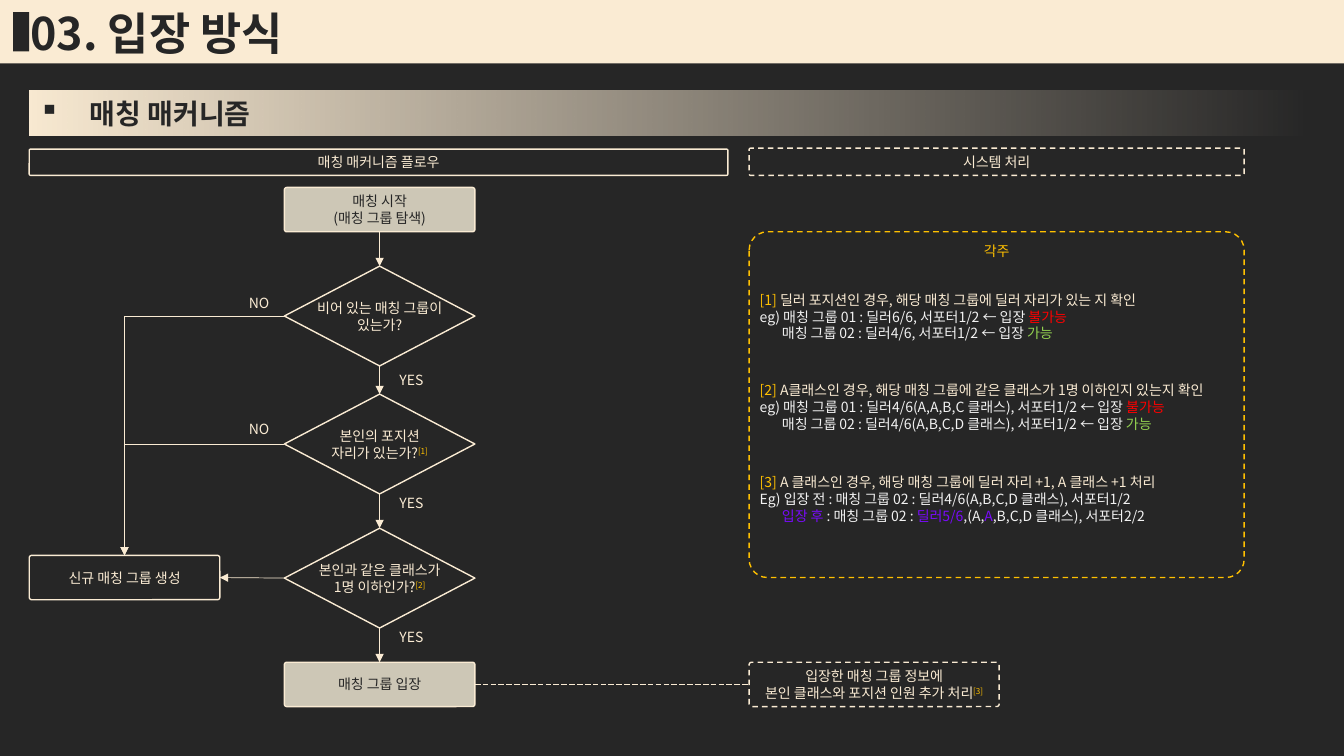
from dataclasses import dataclass

from lxml.etree import SubElement
from pptx import Presentation
from pptx.dml.color import RGBColor
from pptx.enum.dml import MSO_LINE
from pptx.enum.shapes import MSO_CONNECTOR, MSO_SHAPE
from pptx.enum.text import MSO_ANCHOR, PP_ALIGN
from pptx.oxml.ns import qn
from pptx.util import Inches, Pt


@dataclass(frozen=True)
class Theme:
    font: str = "Noto Sans CJK KR"
    dark: str = "262626"
    cream: str = "FAEBD3"
    stone: str = "CDC7B6"
    white: str = "F2F2F2"
    gold: str = "FFC000"
    red: str = "FF0000"
    green: str = "92D050"
    purple: str = "790AFB"
    title: int = 32
    heading: int = 20
    body: int = 10
    leading: int = 12


theme = Theme()


def add_box(place, lines=(), kind=MSO_SHAPE.ROUNDED_RECTANGLE, fill=None, outline=None,
            dash=None, align=PP_ALIGN.CENTER, size=theme.body, bold=False, shape=None):
    left, top, width, height = map(Inches, place)
    if shape is None:
        shape = page.shapes.add_shape(kind, left, top, width, height)
        shape.shadow.inherit = False
    else:
        shape.left, shape.top, shape.width, shape.height = left, top, width, height
    if kind == MSO_SHAPE.ROUNDED_RECTANGLE and not shape.is_placeholder:
        shape.adjustments[0] = 0.053
    if fill:
        shape.fill.solid()
        shape.fill.fore_color.rgb = RGBColor.from_string(fill)
    else:
        shape.fill.background()
    if outline:
        shape.line.color.rgb = RGBColor.from_string(outline)
        shape.line.width = Pt(1)
        shape.line.dash_style = dash
    else:
        shape.line.fill.background()
    frame = shape.text_frame
    frame.word_wrap = True
    frame.vertical_anchor = MSO_ANCHOR.MIDDLE
    for number, spans in enumerate(lines):
        para = frame.add_paragraph() if number else frame.paragraphs[0]
        para.alignment = align
        if size == theme.body:
            para.line_spacing = Pt(theme.leading)
        for text, color in spans:
            span = para.add_run()
            span.text = text
            span.font.name = theme.font
            span.font.size = Pt(size)
            span.font.bold = bold
            span.font.color.rgb = RGBColor.from_string(color)
            properties = span.font._element
            SubElement(properties, qn("a:ea")).set("typeface", theme.font)
            if align == PP_ALIGN.CENTER and text.startswith("["):
                properties.set("baseline", "30000")
    return shape


def join(start, start_site, end, end_site, bent=False, dashed=False):
    kind = MSO_CONNECTOR.ELBOW if bent else MSO_CONNECTOR.STRAIGHT
    link = page.shapes.add_connector(kind, 0, 0, 0, 0)
    link.begin_connect(start, start_site)
    link.end_connect(end, end_site)
    link.line.color.rgb = RGBColor.from_string(theme.cream)
    link.line.width = Pt(0.5)
    properties = link.element.spPr
    if bent:
        properties.find(qn("a:prstGeom")).set("prst", "bentConnector2")
    if dashed:
        link.line.dash_style = MSO_LINE.LONG_DASH
    else:
        SubElement(properties.find(qn("a:ln")), qn("a:tailEnd")).set("type", "triangle")
    SubElement(properties, qn("a:effectLst"))


deck = Presentation()
deck.slide_width, deck.slide_height = Inches(13.33), Inches(7.5)
page = deck.slides.add_slide(deck.slide_layouts[5])
page.background.fill.solid()
page.background.fill.fore_color.rgb = RGBColor.from_string(theme.dark)

heading_bar = add_box((0.29, 0.9, 12.75, 0.44), kind=MSO_SHAPE.RECTANGLE)
heading_bar.fill.gradient()
heading_bar.fill.gradient_angle = 180
for stop in heading_bar.fill.gradient_stops:
    stop.color.rgb = RGBColor.from_string(theme.cream)
clear_color = next(heading_bar.element.iter(qn("a:srgbClr")))
SubElement(clear_color, qn("a:alpha")).set("val", "0")

add_box((0, 0, 13.33, 0.63), kind=MSO_SHAPE.RECTANGLE, fill=theme.cream)
title = add_box((0, 0, 4.37, 0.64), [[("03. 입장 방식", theme.dark)]], align=PP_ALIGN.LEFT,
                size=theme.title, bold=True, shape=page.shapes.title)
title.text_frame.margin_left = Inches(0.3)
page.shapes.element.append(title.element)
add_box((0.13, 0.12, 0.16, 0.39), kind=MSO_SHAPE.RECTANGLE, fill=theme.dark)

heading = add_box((0.29, 0.9, 5.25, 0.44), [[("매칭 매커니즘", theme.dark)]],
                  kind=MSO_SHAPE.RECTANGLE, align=PP_ALIGN.LEFT, size=theme.heading, bold=True)
bullet = heading.text_frame.paragraphs[0]._p.get_or_add_pPr()
bullet.set("marL", str(Inches(0.5)))
bullet.set("indent", str(Inches(-0.5)))
SubElement(bullet, qn("a:buChar")).set("char", "▪")

add_box((0.29, 1.48, 6.93, 0.26), [[("매칭 매커니즘 플로우", theme.cream)]], outline=theme.cream)
add_box((7.43, 1.47, 4.91, 0.27), [[("시스템 처리", theme.cream)]],
        outline=theme.cream, dash=MSO_LINE.DASH)

flow_left, step_width, step_height = 2.82, 1.89, 0.44
start = add_box((flow_left, 1.86, step_width, step_height),
                [[("매칭 시작", theme.dark)], [("(매칭 그룹 탐색)", theme.dark)]],
                fill=theme.stone, outline=theme.cream)
enter = add_box((flow_left, 6.57, step_width, step_height), [[("매칭 그룹 입장", theme.dark)]],
                fill=theme.stone, outline=theme.cream)
create = add_box((0.29, 5.51, step_width, step_height), [[("신규 매칭 그룹 생성", theme.cream)]],
                 outline=theme.cream)
record = add_box((7.43, 6.57, 2.48, step_height),
                 [[("입장한 매칭 그룹 정보에", theme.cream)],
                  [("본인 클래스와 포지션 인원 추가 처리", theme.cream), ("[3]", theme.gold)]],
                 outline=theme.cream, dash=MSO_LINE.DASH)

questions = [
    (2.64, "비어 있는 매칭 그룹이", "있는가?", ""),
    (3.91, "본인의 포지션", "자리가 있는가?", "[1]"),
    (5.24, "본인과 같은 클래스가", "1명 이하인가?", "[2]"),
]
previous = start
for top, first, second, mark in questions:
    diamond = add_box((flow_left, top, step_width, 0.99), kind=MSO_SHAPE.DIAMOND,
                      outline=theme.cream)
    ending = [(second, theme.cream)] + ([(mark, theme.gold)] if mark else [])
    add_box((flow_left, top + 0.28, step_width, step_height), [[(first, theme.cream)], ending])
    join(previous, 2, diamond, 0)
    last = mark == "[2]"
    join(diamond, 1, create, 3 if last else 0, bent=not last)
    previous = diamond
join(previous, 2, enter, 0)
join(enter, 3, record, 1, dashed=True)

for top in (2.88, 4.13):
    add_box((2.19, top, 0.76, 0.26), [[("NO", theme.cream)]])
for top in (3.64, 4.86, 6.19):
    add_box((3.86, top, 0.76, 0.26), [[("YES", theme.cream)]], align=PP_ALIGN.LEFT)

note_frame = add_box((7.43, 2.3, 4.91, 3.43), [[("각주", theme.gold)]],
                     outline=theme.gold, dash=MSO_LINE.DASH)
note_frame.text_frame.vertical_anchor = MSO_ANCHOR.TOP

notes = [
    (2.92, [
        [("[1] ", theme.gold),
         ("딜러 포지션인 경우, 해당 매칭 그룹에 딜러 자리가 있는 지 확인", theme.cream)],
        [("eg) 매칭 그룹 01 : 딜러6/6, 서포터1/2 ← 입장 ", theme.white), ("불가능", theme.red)],
        [("매칭 그룹 02 : 딜러4/6, 서포터1/2 ← 입장 ", theme.white), ("가능", theme.green)]]),
    (3.82, [
        [("[2] ", theme.gold),
         ("A클래스인 경우, 해당 매칭 그룹에 같은 클래스가 1명 이하인지 있는지 확인", theme.cream)],
        [("eg) 매칭 그룹 01 : 딜러4/6(A,A,B,C 클래스), 서포터1/2 ← 입장 ", theme.white),
         ("불가능", theme.red)],
        [("매칭 그룹 02 : 딜러4/6(A,B,C,D 클래스), 서포터1/2 ← 입장 ", theme.white),
         ("가능", theme.green)]]),
    (4.73, [
        [("[3]", theme.gold),
         (" A 클래스인 경우, 해당 매칭 그룹에 딜러 자리 +1, A 클래스 +1 처리", theme.cream)],
        [("Eg) 입장 전 : 매칭 그룹 02 : 딜러4/6(A,B,C,D 클래스), 서포터1/2", theme.white)],
        [("입장 후 ", theme.purple), (": 매칭 그룹 02 : ", theme.white), ("딜러5/6", theme.purple),
         (",(A,", theme.white), ("A", theme.purple),
         (",B,C,D 클래스), 서포터2/2", theme.white)]]),
]
for top, lines in notes:
    note = add_box((7.43, top, 4.91, 0.44), lines, align=PP_ALIGN.LEFT)
    note.text_frame.paragraphs[2]._p.get_or_add_pPr().set("marL", str(Inches(0.22)))

deck.save("out.pptx")
